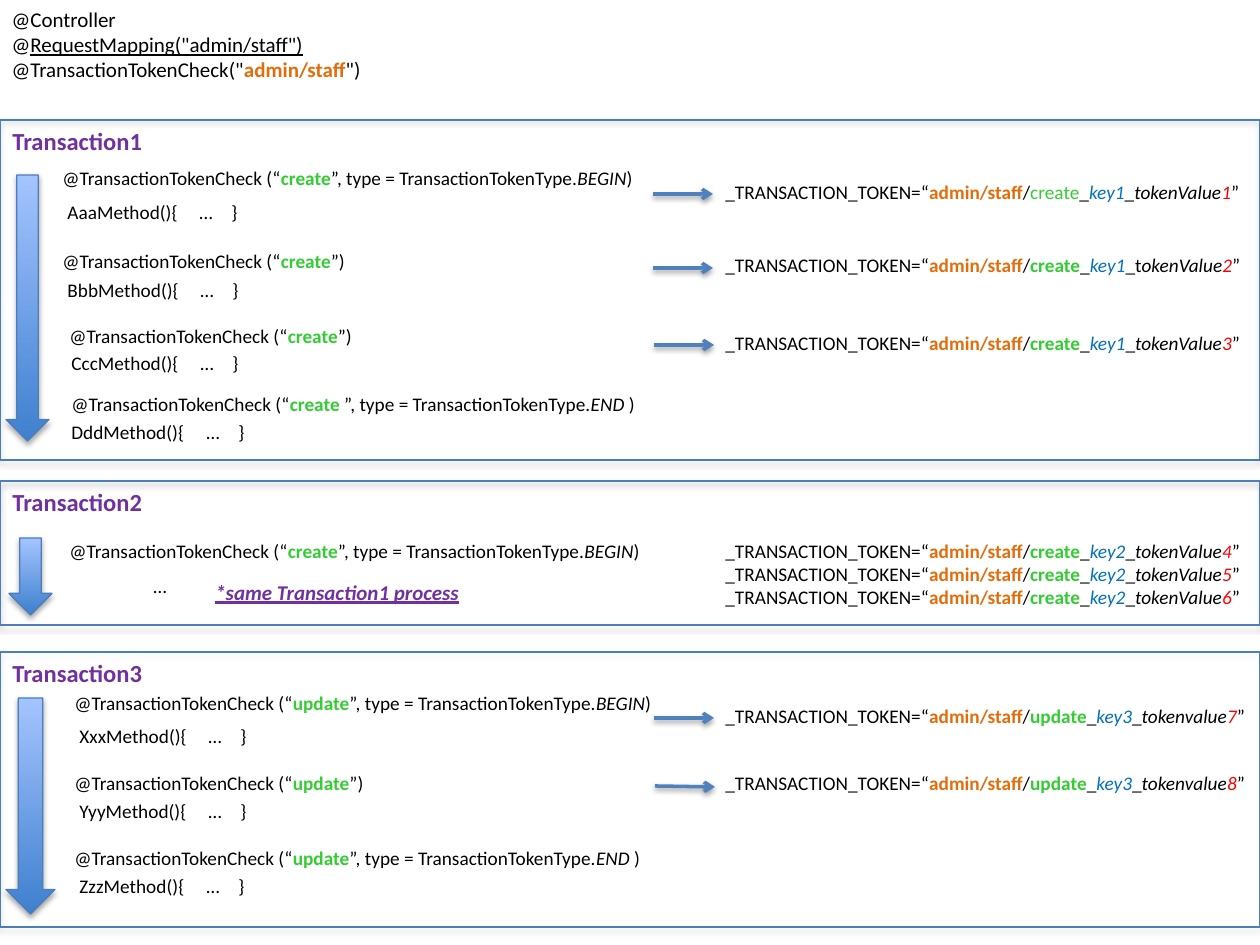
from lxml import etree
from pptx import Presentation
from pptx.dml.color import RGBColor
from pptx.enum.shapes import MSO_CONNECTOR, MSO_SHAPE
from pptx.enum.text import MSO_ANCHOR, MSO_AUTO_SIZE, PP_ALIGN
from pptx.oxml.ns import qn
from pptx.util import Pt

PX = 914400 // 126
STRAIGHT = MSO_CONNECTOR.STRAIGHT
RECTANGLE, DOWN_ARROW = MSO_SHAPE.RECTANGLE, MSO_SHAPE.DOWN_ARROW
TOP, LEFT, NO_FIT = MSO_ANCHOR.TOP, PP_ALIGN.LEFT, MSO_AUTO_SIZE.NONE
BLACK = RGBColor(0x00, 0x00, 0x00)
GREEN = RGBColor(0x33, 0xCC, 0x33)
ORANGE = RGBColor(0xE4, 0x6C, 0x0A)
BLUE = RGBColor(0x00, 0x70, 0xC0)
RED = RGBColor(0xFF, 0x00, 0x00)
PURPLE = RGBColor(0x70, 0x30, 0xA0)
OUTLINE = RGBColor(0x4B, 0x7E, 0xBC)
FLOW = RGBColor(0x4F, 0x81, 0xBD)
DARK = RGBColor(0x3F, 0x80, 0xCE)
LIGHT = RGBColor(0xA4, 0xC4, 0xFF)

prs = Presentation()
prs.slide_width, prs.slide_height = 1260 * PX, 945 * PX
s = prs.slides.add_slide(prs.slide_layouts[5])


def add_text(x, y, w, h, paragraphs, size=11, color=BLACK, bold=False,
             italic=False, underline=False, tabs=(), box=None):
    sp = box or s.shapes.add_textbox(0, 0, 0, 0)
    sp.left, sp.top, sp.width, sp.height = [v * PX for v in (x, y, w, h)]
    tf = sp.text_frame
    tf.word_wrap, tf.auto_size, tf.vertical_anchor = True, NO_FIT, TOP
    for i, runs in enumerate(paragraphs):
        p = tf.add_paragraph() if i else tf.paragraphs[0]
        p.alignment = LEFT
        if tabs:
            stops = etree.SubElement(p._p.get_or_add_pPr(), qn("a:tabLst"))
            for tab in tabs:
                etree.SubElement(stops, qn("a:tab"), pos=str(tab * PX), algn="l")
        for text, style in runs:
            r = p.add_run()
            r.text = text
            r.font.name, r.font.size = "Calibri", Pt(size)
            r.font.color.rgb = style.get("color", color)
            r.font.bold = style.get("bold", bold)
            r.font.italic = style.get("italic", italic)
            r.font.underline = style.get("underline", underline)


def add_shadow(sp, distance, alpha):
    effects = etree.SubElement(sp._element.spPr, qn("a:effectLst"))
    shadow = etree.SubElement(effects, qn("a:outerShdw"), blurRad="40000",
                              dist=str(distance), dir="5400000", rotWithShape="0")
    black = etree.SubElement(shadow, qn("a:srgbClr"), val="000000")
    etree.SubElement(black, qn("a:alpha"), val=str(alpha))


PLAIN, ITALIC = {}, {"italic": True}
PATH = ("admin/staff", {"color": ORANGE, "bold": True})

add_text(-1, 0, 533, 89, [
    [("@Controller", PLAIN)],
    [("@", PLAIN), ('RequestMapping("admin/staff")', {"underline": True})],
    [('@TransactionTokenCheck("', PLAIN), PATH, ('")', PLAIN)],
], size=12, box=s.shapes.title)

panels = [("Transaction1", 120, 340), ("Transaction2", 481, 144),
          ("Transaction3", 652, 275)]
down_arrows = [(6, 175, 43, 266), (9, 538, 43, 77), (6, 698, 49, 216)]
blocks = [(RECTANGLE, 0, top, 1260, height) for _, top, height in panels]
blocks += [(DOWN_ARROW, *place) for place in down_arrows]
for kind, *place in blocks:
    sp = s.shapes.add_shape(kind, *[v * PX for v in place])
    if kind == DOWN_ARROW:
        sp.fill.gradient()
        sp.fill.gradient_angle = 90
        for stop, color, position in zip(sp.fill.gradient_stops, (DARK, LIGHT), (0, 1)):
            stop.color.rgb, stop.position = color, position
    else:
        sp.fill.background()
    sp.line.color.rgb, sp.line.width = OUTLINE, Pt(0.75)
    add_shadow(sp, 23000, 35000)

for name, top, _ in panels:
    add_text(0, top, 219, 47, [[(name, PLAIN)]], size=14, color=PURPLE, bold=True)

checks = [
    (50, 160, "create", "BEGIN", ")"), (50, 243, "create", None, ")"),
    (57, 318, "create", None, ")"), (59, 386, "create ", "END", " )"),
    (57, 533, "create", "BEGIN", ")"), (62, 685, "update", "BEGIN", ")"),
    (62, 765, "update", None, ")"), (62, 840, "update", "END", " )"),
]
for x, y, action, token_type, close in checks:
    runs = [("@TransactionTokenCheck (“", PLAIN), (action, {"color": GREEN, "bold": True})]
    if token_type:
        runs += [("”, type = TransactionTokenType.", PLAIN), (token_type, ITALIC), (close, PLAIN)]
    else:
        runs.append(("”" + close, PLAIN))
    add_text(x, y, 619, 40, [runs])

methods = [("Aaa", 55, 194, 132), ("Bbb", 55, 272, 133), ("Ccc", 59, 345, 129),
           ("Ddd", 59, 414, 135), ("Xxx", 67, 718, 129), ("Yyy", 67, 793, 129),
           ("Zzz", 67, 868, 127)]
for name, x, y, tab in methods:
    add_text(x, y, 219, 47, [[(name + "Method(){\t…\t}", PLAIN)]], tabs=(tab, tab + 32))

tokens = [
    (174, 547, 40, "create", False, "key1", "_", "tokenValue", "1"),
    (247, 547, 40, "create", True, "key1", "_t", "okenValue", "2"),
    (325, 547, 40, "create", True, "key1", "_", "tokenValue", "3"),
    (533, 547, 93, "create", True, "key2", "_", "tokenValue", "456"),
    (698, 566, 40, "update", True, "key3", "_", "tokenvalue", "7"),
    (765, 566, 40, "update", True, "key3", "_", "tokenvalue", "8"),
]
for y, w, h, action, bold, key, joint, value, numbers in tokens:
    add_text(713, y, w, h, [[
        ("_TRANSACTION_TOKEN=“", PLAIN), PATH, ("/", PLAIN),
        (action, {"color": GREEN, "bold": bold}), ("_", PLAIN),
        (key, {"color": BLUE, "italic": True}), (joint, PLAIN), (value, ITALIC),
        (number, {"color": RED, "italic": True}), ("”", PLAIN),
    ] for number in numbers])

add_text(141, 568, 62, 47, [[("…", PLAIN)]])
add_text(203, 573, 354, 47, [[("*same Transaction1 process", PLAIN)]],
         size=12, color=PURPLE, bold=True, italic=True, underline=True)

for x, y, end_y in [(653, 194, 194), (653, 268, 268), (654, 345, 345),
                    (654, 718, 718), (655, 786, 787)]:
    flow = s.shapes.add_connector(STRAIGHT, x * PX, y * PX, (x + 60) * PX, end_y * PX)
    flow.line.color.rgb, flow.line.width = FLOW, Pt(2)
    etree.SubElement(flow.line._get_or_add_ln(), qn("a:tailEnd"), type="arrow")
    add_shadow(flow, 20000, 38000)

prs.save("out.pptx")
